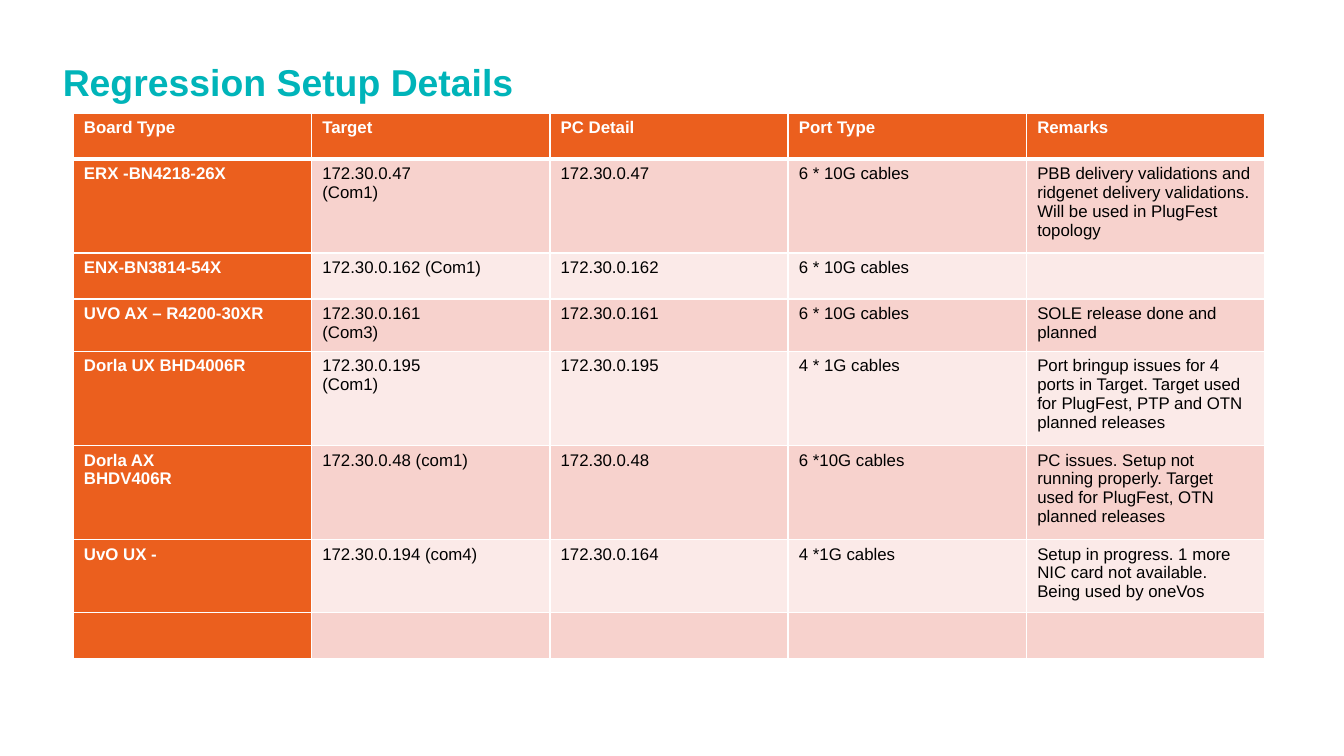
"""Build the regression setup slide with its table of boards."""
import dataclasses

import lxml.etree
import pptx
import pptx.dml.color
import pptx.enum.text
import pptx.oxml.ns
import pptx.slide
import pptx.table
import pptx.text.text
import pptx.util

Pt = pptx.util.Pt
RGBColor = pptx.dml.color.RGBColor
qn = pptx.oxml.ns.qn

TEAL = RGBColor(0x00, 0xB4, 0xB9)
ORANGE = RGBColor(0xEB, 0x5F, 0x1E)
ROSE = RGBColor(0xF7, 0xD2, 0xCD)
BLUSH = RGBColor(0xFB, 0xEA, 0xE8)
WHITE = RGBColor(0xFF, 0xFF, 0xFF)
BLACK = RGBColor(0x00, 0x00, 0x00)

FONT = "Arial"
SIZE = 9
WIDTH = 127.7
HEADS = ("Board Type", "Target", "PC Detail", "Port Type", "Remarks")


@dataclasses.dataclass(frozen=True)
class Setup:
    """One row of the table, with its height in points."""

    high: float
    board: str = ""
    target: str = ""
    host: str = ""
    port: str = ""
    note: str = ""

    def texts(self) -> tuple[str, ...]:
        """Return the cell texts from left to right."""
        return self.board, self.target, self.host, self.port, self.note


ROWS = (
    Setup(24.6, *HEADS),
    Setup(50.3, "ERX -BN4218-26X", "172.30.0.47\n(Com1)", "172.30.0.47", "6 * 10G cables",
          "PBB delivery validations and ridgenet delivery validations. "
          "Will be used in PlugFest topology"),
    Setup(24.6, "ENX-BN3814-54X", "172.30.0.162 (Com1)", "172.30.0.162", "6 * 10G cables"),
    Setup(28.2, "UVO AX – R4200-30XR", "172.30.0.161\n(Com3)", "172.30.0.161",
          "6 * 10G cables", "SOLE release done and planned"),
    Setup(50.4, "Dorla UX BHD4006R", "172.30.0.195\n(Com1)", "172.30.0.195",
          "4 * 1G cables",
          "Port bringup issues for 4 ports in Target. "
          "Target used for PlugFest, PTP and OTN planned releases"),
    Setup(50.4, "Dorla AX\nBHDV406R", "172.30.0.48 (com1)", "172.30.0.48", "6 *10G cables",
          "PC issues. Setup not running properly. "
          "Target used for PlugFest, OTN planned releases"),
    Setup(39.2, "UvO UX -", "172.30.0.194 (com4)", "172.30.0.164", "4 *1G cables",
          "Setup in progress. 1 more NIC card not available. Being used by oneVos"),
    Setup(24.6),
)


def style(frame: pptx.text.text.TextFrame, size: float, color: RGBColor, bold: bool) -> None:
    """Format every run, and the size of empty paragraphs."""
    for para in frame.paragraphs:
        for run in para.runs:
            run.font.name = FONT
            run.font.size = Pt(size)
            run.font.bold = bold
            run.font.color.rgb = color
        if not para.runs:
            end = lxml.etree.SubElement(para._p, qn("a:endParaRPr"))
            end.set("sz", str(size * 100))


def edge(cell: pptx.table._Cell, side: str, width: float) -> None:
    """Add a white border on one side of a cell."""
    line = lxml.etree.SubElement(cell._tc.get_or_add_tcPr(), qn(f"a:ln{side}"))
    line.set("w", str(Pt(width)))
    fill = lxml.etree.SubElement(line, qn("a:solidFill"))
    lxml.etree.SubElement(fill, qn("a:srgbClr")).set("val", str(WHITE))


def fill_cell(cell: pptx.table._Cell, text: str, row: int, col: int) -> None:
    """Write, border and colour one cell by its place in the grid."""
    strong = row == 0 or col == 0
    cell.text_frame.text = text
    style(cell.text_frame, SIZE, WHITE if strong else BLACK, strong)
    cell.margin_left = cell.margin_right = Pt(5.8)
    cell.margin_top = cell.margin_bottom = Pt(2.9)
    widths = {"L": 1, "R": 1, "T": 3 if row == 1 else 1, "B": 3 if row == 0 else 1}
    for side, width in widths.items():
        edge(cell, side, width)
    cell.fill.solid()
    cell.fill.fore_color.rgb = ORANGE if strong else ROSE if row % 2 else BLUSH


def add_title(slide: pptx.slide.Slide, text: str) -> None:
    """Place and format the title."""
    title = slide.shapes.title
    title.left, title.top, title.width, title.height = Pt(28), Pt(34.6), Pt(664), Pt(26)
    frame = title.text_frame
    frame.text = text
    frame.word_wrap = True
    frame.auto_size = pptx.enum.text.MSO_AUTO_SIZE.NONE
    frame.vertical_anchor = pptx.enum.text.MSO_ANCHOR.TOP
    frame.margin_left = Pt(5.6)
    frame.margin_top = frame.margin_right = frame.margin_bottom = Pt(0)
    para = frame.paragraphs[0]
    para.alignment = pptx.enum.text.PP_ALIGN.LEFT
    para.line_spacing = 0.9
    style(frame, 20, TEAL, True)


def add_grid(slide: pptx.slide.Slide, rows: tuple[Setup, ...]) -> None:
    """Draw the table of setups."""
    high = sum(row.high for row in rows)
    grid = slide.shapes.add_table(
        len(rows), len(HEADS), Pt(39.2), Pt(60.6), Pt(WIDTH * len(HEADS)), Pt(high)).table
    for col in grid.columns:
        col.width = Pt(WIDTH)
    for r, row in enumerate(rows):
        grid.rows[r].height = Pt(row.high)
        for c, text in enumerate(row.texts()):
            fill_cell(grid.cell(r, c), text, r, c)


def main() -> None:
    """Build and save the deck."""
    deck = pptx.Presentation()
    deck.slide_width, deck.slide_height = Pt(720), Pt(405)
    slide = deck.slides.add_slide(deck.slide_layouts.get_by_name("Title Only"))
    add_title(slide, "Regression Setup Details")
    add_grid(slide, ROWS)
    deck.save("out.pptx")


if __name__ == "__main__":
    main()
